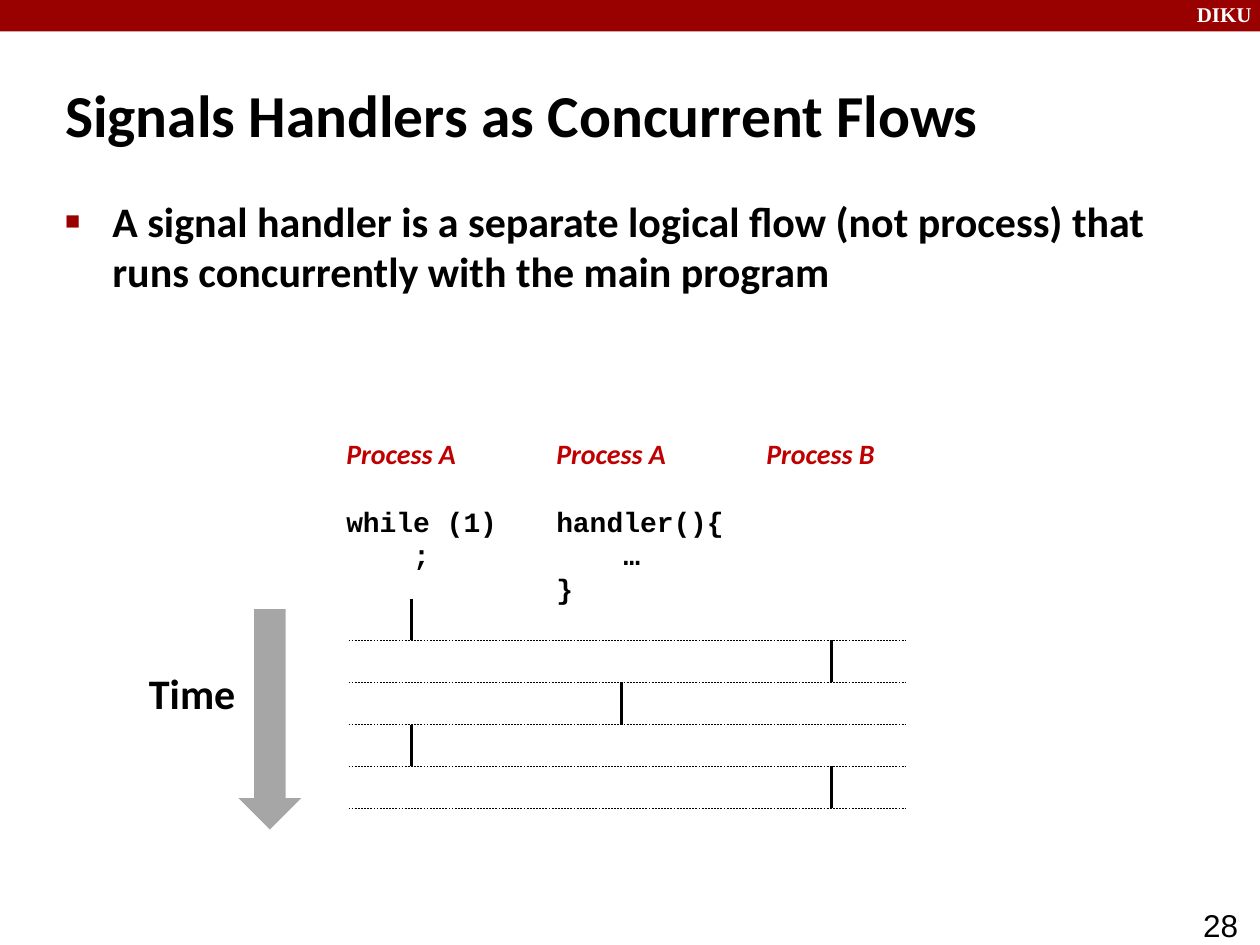
from dataclasses import dataclass

from lxml import etree
from pptx import Presentation
from pptx.dml.color import RGBColor
from pptx.enum.dml import MSO_LINE
from pptx.enum.shapes import MSO_CONNECTOR, MSO_SHAPE
from pptx.enum.text import MSO_ANCHOR, MSO_AUTO_SIZE, PP_ALIGN
from pptx.oxml.ns import qn
from pptx.util import Pt

PX = 7620  # EMU per px, 120 px to the inch
DASH = MSO_LINE.DASH
LINE = MSO_CONNECTOR.STRAIGHT
RECT, ARROW = MSO_SHAPE.RECTANGLE, MSO_SHAPE.DOWN_ARROW
TOP, MID = MSO_ANCHOR.TOP, MSO_ANCHOR.MIDDLE
FIXED, LEFT = MSO_AUTO_SIZE.NONE, PP_ALIGN.LEFT


@dataclass(frozen=True)
class Theme:
    red: str = "990000"
    label: str = "C00000"
    ink: str = "000000"
    paper: str = "FFFFFF"
    gray: str = "A6A6A6"
    sans: str = "Calibri"
    mono: str = "Courier New"
    serif: str = "Times New Roman"
    plain: str = "Arial"
    head: int = 34
    body: int = 24
    page: int = 18
    code: int = 16
    mark: int = 12


T = Theme()


def rgb(tone):
    return RGBColor.from_string(tone)


def emu(*sizes):
    return [round(size * PX) for size in sizes]


def add_run(para, text, size, face=T.sans, tone=T.ink, bold=True, slant=False):
    run = para.add_run()
    run.text = text
    font = run.font
    font.size, font.name = Pt(size), face
    font.bold, font.italic = bold, slant
    font.color.rgb = rgb(tone)


def add_text(slide, box, wrap=True):
    frame = slide.shapes.add_textbox(*emu(*box)).text_frame
    frame.word_wrap = wrap
    return frame


def add_block(slide, kind, box, tone):
    shape = slide.shapes.add_shape(kind, *emu(*box))
    shape.shadow.inherit = False
    shape.fill.solid()
    shape.fill.fore_color.rgb = rgb(tone)
    shape.line.fill.background()


def add_line(slide, start, end, width, dash=None):
    link = slide.shapes.add_connector(LINE, *emu(*start, *end))
    link.line.color.rgb = rgb(T.ink)
    link.line.width = Pt(width)
    if dash is not None:
        link.line.dash_style = dash
    etree.SubElement(link._element.spPr, qn("a:effectLst"))


def fill_holder(holder, box, anchor):
    holder.left, holder.top, holder.width, holder.height = emu(*box)
    frame = holder.text_frame
    frame.word_wrap, frame.auto_size = True, FIXED
    frame.vertical_anchor = anchor
    para = frame.paragraphs[0]
    para.alignment = LEFT
    return para


def set_bullet(para, indent):
    props = para._p.get_or_add_pPr()
    props.set("marL", str(indent * PX))
    props.set("indent", str(-indent * PX))
    color = etree.SubElement(props, qn("a:buClr"))
    etree.SubElement(color, qn("a:srgbClr"), val=T.red)
    etree.SubElement(props, qn("a:buSzPct"), val="60000")
    etree.SubElement(props, qn("a:buFont"), typeface=T.plain)
    etree.SubElement(props, qn("a:buChar"), char="■")
    para.space_before = Pt(0)


def draw_frame(slide, box):
    """Top band with its mark, and the page number."""
    x, y, w, h = box
    add_block(slide, RECT, (x, y, w, 30), T.red)
    mark = add_text(slide, (x + w - 72, y - 4, 80, 36))
    add_run(mark.paragraphs[0], "DIKU", T.mark, T.serif, T.paper)
    page = add_text(slide, (x + w - 66, y + h - 43, 90, 31))
    add_run(page.paragraphs[0], "28", T.page, T.plain, bold=False)


def draw_words(slide, box):
    """Title and bullet list."""
    x, y, w, h = box
    title = fill_holder(slide.shapes.title, (x, y, 996, 100), MID)
    add_run(title, "Signals Handlers as Concurrent Flows", T.head)
    para = fill_holder(slide.placeholders[1], (x, y + 122, w, h - 122), TOP)
    set_bullet(para, 45)
    add_run(para, "A signal handler is a separate logical flow (not process) "
            "that runs concurrently with the main program", T.body)


def draw_heads(slide, box, step):
    """Process names with the code that each one runs."""
    x, y, _, _ = box
    heads = [
        ("Process A", ["while (1)", "    ;"], 168, 139),
        ("Process A", ["handler(){", "    …", "}"], 184, 172),
        ("Process B", [], 127, 43),
    ]
    for col, (name, code, w, h) in enumerate(heads):
        frame = add_text(slide, (x + col * step, y, w, h), wrap=False)
        add_run(frame.paragraphs[0], name, T.code, tone=T.label, slant=True)
        for row, text in enumerate(code):
            para = frame.add_paragraph()
            para.space_before = Pt(19.5 if row == 0 else 0)
            add_run(para, text, T.code, T.mono)


def draw_flows(slide, box, step):
    """Time slots parted by dashed lines, with a bar where a flow runs."""
    x, y, w, h = box
    active = [0, 2, 1, 0, 2]
    slot = h // len(active)
    for row, col in enumerate(active):
        top, end = y + row * slot, y + (row + 1) * slot
        bar = x + 60 + col * step
        add_line(slide, (bar, top), (bar, end), 2)
        add_line(slide, (x, end), (x + w, end), 0.25, DASH)


def draw_time(slide, box):
    """Time axis: label and arrow."""
    x, y, w, h = box
    label = add_text(slide, (x, y + 50, 107, 60), wrap=False)
    add_run(label.paragraphs[0], "Time", T.body)
    add_block(slide, ARROW, (x + w - 60, y, 60, h), T.gray)


def main():
    deck = Presentation()
    deck.slide_width, deck.slide_height = emu(1200, 900)
    slide = deck.slides.add_slide(deck.slide_layouts[1])
    step = 200  # from one process column to the next
    draw_frame(slide, (0, 0, 1200, 900))
    draw_words(slide, (50, 58, 1090, 292))
    draw_heads(slide, (318, 410, 527, 172), step)
    draw_flows(slide, (332, 570, 530, 200), step)
    draw_time(slide, (130, 580, 157, 210))
    deck.save("out.pptx")


if __name__ == "__main__":
    main()
